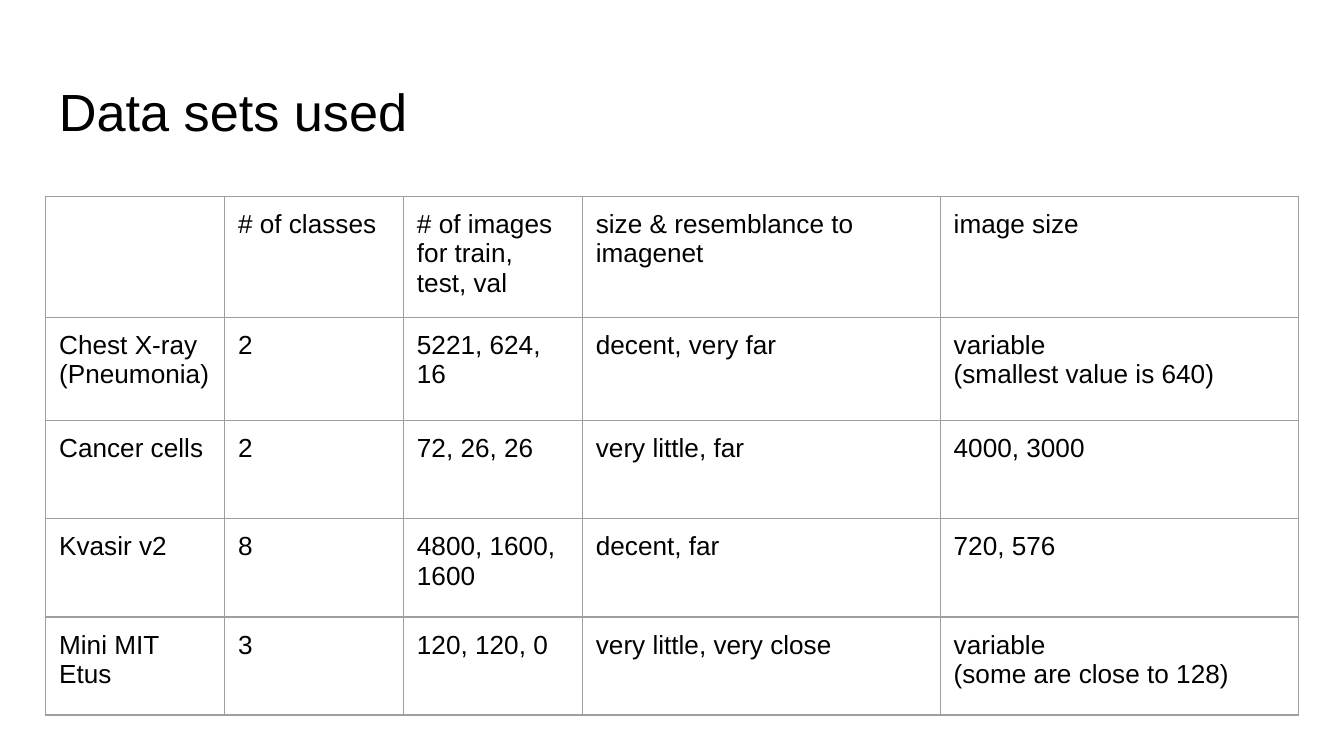
from lxml import etree
from pptx import Presentation
from pptx.dml.color import RGBColor
from pptx.enum.text import MSO_ANCHOR
from pptx.oxml.ns import qn
from pptx.util import Inches, Pt

TITLE = "Data sets used"
ROWS = [
    ["", "# of classes", "# of images for train, test, val",
     "size & resemblance to imagenet", "image size"],
    ["Chest X-ray (Pneumonia)", "2", "5221, 624, 16", "decent, very far",
     "variable\n(smallest value is 640)"],
    ["Cancer cells", "2", "72, 26, 26", "very little, far", "4000, 3000"],
    ["Kvasir v2", "8", "4800, 1600, 1600", "decent, far", "720, 576"],
    ["Mini MIT Etus", "3", "120, 120, 0", "very little, very close",
     "variable\n(some are close to 128)"],
]
COLUMN_SHARES = [1, 1, 1, 2, 2]
ROW_HEIGHTS = [0.79, 0.77, 0.73, 0.73, 0.73]
COLORS = {"text": "000000", "border": "9E9E9E"}
FONT = "Arial"
LEFT, WIDTH = 0.34, 9.32
FRAME_SIDE = Inches(3.28)
INSET = Inches(0.1)


def style_text(paragraphs, size):
    for para in paragraphs:
        for span in para.runs:
            span.font.name = FONT
            span.font.size = Pt(size)
            span.font.color.rgb = RGBColor.from_string(COLORS["text"])


def set_insets(holder):
    holder.margin_left = holder.margin_right = INSET
    holder.margin_top = holder.margin_bottom = INSET


def add_borders(cell):
    properties = cell._tc.get_or_add_tcPr()
    for position, side in enumerate(("lnL", "lnR", "lnT", "lnB")):
        line = etree.Element(qn(f"a:{side}"), w=str(Pt(0.75)))
        fill = etree.SubElement(line, qn("a:solidFill"))
        etree.SubElement(fill, qn("a:srgbClr"), val=COLORS["border"])
        properties.insert(position, line)


# Widescreen page, 16:9
deck = Presentation()
deck.slide_width, deck.slide_height = Inches(10), Inches(10 * 9 / 16)
page = deck.slides.add_slide(deck.slide_layouts[6])

# Title
box = page.shapes.add_textbox(Inches(LEFT), Inches(0.49), Inches(WIDTH), Inches(0.63))
frame = box.text_frame
frame.word_wrap = True
frame.vertical_anchor = MSO_ANCHOR.TOP
set_insets(frame)
frame.text = TITLE
style_text(frame.paragraphs, 28)

# Data set table
table_frame = page.shapes.add_table(
    len(ROWS), len(COLUMN_SHARES), Inches(LEFT), Inches(1.46), FRAME_SIDE, FRAME_SIDE)
table = table_frame.table
table.first_row = table.horz_banding = False
for column, share in zip(table.columns, COLUMN_SHARES):
    column.width = Inches(WIDTH * share / sum(COLUMN_SHARES))
for row, height, texts in zip(table.rows, ROW_HEIGHTS, ROWS):
    row.height = Inches(height)
    for cell, text in zip(row.cells, texts):
        set_insets(cell)
        cell.fill.background()
        add_borders(cell)
        cell.text_frame.text = text
        style_text(cell.text_frame.paragraphs, 14)

# The frame stays smaller than its grid, so rows grow only to fit their text
table_frame.width = table_frame.height = FRAME_SIDE

deck.save("out.pptx")
